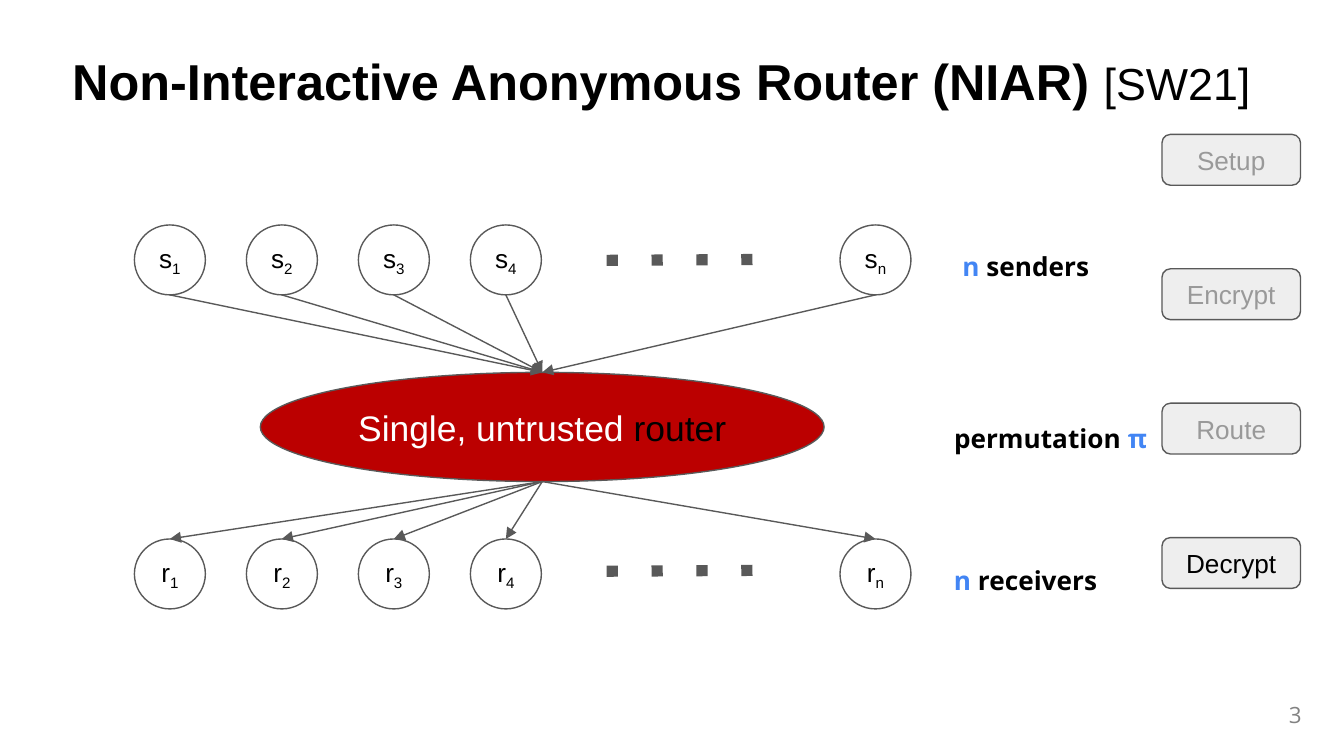
from lxml import etree
from pptx import Presentation
from pptx import util as u
from pptx.dml.color import RGBColor
from pptx.enum import shapes, text
from pptx.oxml.ns import qn

BLACK, WHITE, GREY, BLUE = "000000", "FFFFFF", "595959", "4285F4"
RED, PALE, MUTED, PAGE_GREY = "BB0000", "EEEEEE", "999999", "828282"

TITLE = [("Non-Interactive Anonymous Router (NIAR) ", {"size": 27, "bold": True}),
         ("[SW21]", {"size": 24})]
ROUTER = [("Single, untrusted", {"color": WHITE}), (" router", {})]
SUBSCRIPTS = ["1", "2", "3", "4", "n"]
NODE_LEFTS = [72, 132, 192, 252, 450]
NODE_WIDTH, NODE_HEIGHT = 38, 37.5
SENDER_TOP, RECEIVER_TOP = 120.5, 288.75
ROUTER_BOX = (139.5, 199.5, 302, 58.5)
DOT_LINES = [139.5, 306]
LABELS = [
    ([("n", {"color": BLUE}), (" senders", {})], (508.5, 126.75, 88.5, 32)),
    ([("n", {"color": BLUE}), (" receivers", {})], (504, 295.25, 92, 32)),
    ([("permutation ", {}), ("π", {"color": BLUE})], (504, 219, 126, 32)),
]
STEPS = [("Setup", MUTED), ("Encrypt", MUTED), ("Route", MUTED), ("Decrypt", BLACK)]
STEP_LEFT, STEP_TOP, STEP_PITCH, STEP_WIDTH, STEP_HEIGHT = 622.5, 72, 72, 74.25, 27.25


def rgb(color):
    return RGBColor.from_string(color)


def points(values):
    return [u.Pt(value) for value in values]


def write(shape, runs, size=14, font="Arial", color=BLACK, bold=False, align="LEFT",
          anchor="MIDDLE", margin=7.2, spacing=None):
    frame = shape.text_frame
    frame.word_wrap = True
    frame.auto_size = text.MSO_AUTO_SIZE.NONE
    frame.vertical_anchor = text.MSO_ANCHOR[anchor]
    frame.margin_left = frame.margin_right = u.Pt(margin)
    frame.margin_top = frame.margin_bottom = u.Pt(margin)
    paragraph = frame.paragraphs[0]
    paragraph.alignment = text.PP_ALIGN[align]
    if spacing:
        paragraph.line_spacing = spacing
    for words, style in runs:
        run = paragraph.add_run()
        run.text = words
        run.font.name = font
        run.font.size = u.Pt(style.get("size", size))
        run.font.bold = style.get("bold", bold)
        run.font.color.rgb = rgb(style.get("color", color))
        if style.get("subscript"):
            run.font._element.set("baseline", "-25000")


def add_box(slide, kind, box, fill, runs, **style):
    shape = slide.shapes.add_shape(shapes.MSO_SHAPE[kind], *points(box))
    shape.shadow.inherit = False
    shape.fill.solid()
    shape.fill.fore_color.rgb = rgb(fill)
    shape.line.color.rgb = rgb(GREY)
    shape.line.width = u.Pt(0.75)
    write(shape, runs, align="CENTER", **style)
    return shape


def add_label(slide, box, runs, **style):
    write(slide.shapes.add_textbox(*points(box)), runs, font="Open Sans", **style)


def add_line(slide, ends, width, tag, **attributes):
    line = slide.shapes.add_connector(shapes.MSO_CONNECTOR.STRAIGHT, *points(ends))
    line.line.color.rgb = rgb(GREY)
    line.line.width = u.Pt(width)
    etree.SubElement(line.line._ln, qn(tag), attributes)
    etree.SubElement(line._element.spPr, qn("a:effectLst"))
    return line


def add_arrow(slide, ends, target):
    arrow = add_line(slide, ends, 0.75, "a:tailEnd", type="triangle")
    arrow.end_connect(target, 0)


def add_nodes(slide, letter, top):
    return [add_box(slide, "OVAL", (left, top, NODE_WIDTH, NODE_HEIGHT), WHITE,
                    [(letter, {}), (subscript, {"subscript": True})])
            for left, subscript in zip(NODE_LEFTS, SUBSCRIPTS)]


def main():
    """Build the anonymous router slide."""
    presentation = Presentation()
    presentation.slide_width, presentation.slide_height = points((720, 405))
    slide = presentation.slides.add_slide(presentation.slide_layouts[5])

    title = slide.shapes.title
    title.left, title.top, title.width, title.height = points((36, 28, 661, 34.5))
    write(title, TITLE, margin=2.7, spacing=0.9)

    add_nodes(slide, "s", SENDER_TOP)
    receivers = add_nodes(slide, "r", RECEIVER_TOP)
    router = add_box(slide, "OVAL", ROUTER_BOX, RED, ROUTER, size=19)
    left, top, width, height = ROUTER_BOX
    middle = left + width / 2
    for node_left, receiver in zip(NODE_LEFTS, receivers):
        center = node_left + NODE_WIDTH / 2
        add_arrow(slide, (center, SENDER_TOP + NODE_HEIGHT, middle, top), router)
        add_arrow(slide, (middle, top + height, center, RECEIVER_TOP), receiver)
    for y in DOT_LINES:
        add_line(slide, (325, y, 415.5, y - 0.5), 6, "a:prstDash", val="dot")

    for runs, box in LABELS:
        add_label(slide, box, runs, bold=True, anchor="TOP")
    add_label(slide, (679, 373, 21, 20), [("3", {})], size=12, color=PAGE_GREY,
              align="RIGHT", margin=2.7)
    for index, (name, color) in enumerate(STEPS):
        box = (STEP_LEFT, STEP_TOP + index * STEP_PITCH, STEP_WIDTH, STEP_HEIGHT)
        add_box(slide, "ROUNDED_RECTANGLE", box, PALE, [(name, {})], color=color)

    presentation.save("out.pptx")


if __name__ == "__main__":
    main()
